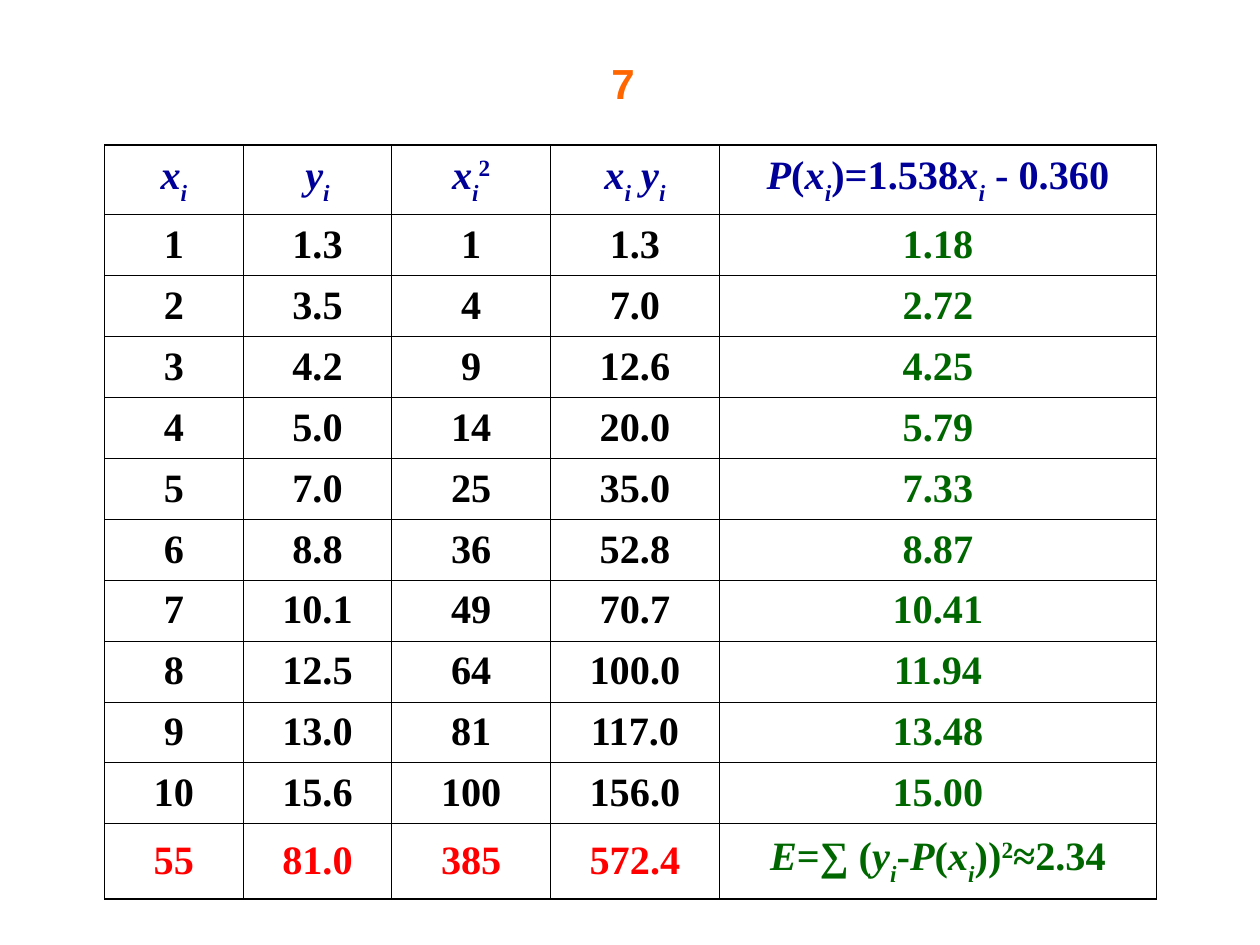
"""Build the least-squares table slide for ten data points."""
from lxml import etree
from pptx import Presentation
from pptx.dml.color import RGBColor
from pptx.enum.text import MSO_ANCHOR, PP_ALIGN
from pptx.oxml.ns import qn
from pptx.util import Inches, Pt

CENTER = PP_ALIGN.CENTER
MIDDLE = MSO_ANCHOR.MIDDLE
ORANGE, NAVY, BLACK, GREEN, RED = "FF6600", "000099", "000000", "006600", "FF0000"
UPRIGHT, ITALIC, SUB, SUPER = (False, 0), (True, 0), (True, -30), (False, 30)


def write(paragraph, pieces, size, face, color):
    paragraph.alignment = CENTER
    for text, (italic, baseline) in pieces:
        run = paragraph.add_run()
        run.text = text
        run.font.size = Pt(size)
        run.font.name = face
        run.font.bold = True
        run.font.italic = italic
        run.font.color.rgb = RGBColor.from_string(color)
        if baseline:
            run.font._element.set("baseline", str(baseline * 1000))


def rule(cell, side, width):
    line = etree.SubElement(cell._tc.get_or_add_tcPr(), qn(f"a:ln{side}"), w=str(Pt(width)))
    fill = etree.SubElement(line, qn("a:solidFill"))
    etree.SubElement(fill, qn("a:srgbClr"), val=BLACK)


x_i = [("x", ITALIC), ("i", SUB)]
y_i = [("y", ITALIC), ("i", SUB)]
headings = [
    x_i,
    y_i,
    x_i + [("2", SUPER)],
    x_i + [(" y", ITALIC), ("i", SUB)],
    [("P", ITALIC), ("(", UPRIGHT)] + x_i + [(")=1.538", UPRIGHT)] + x_i + [(" - 0.360", UPRIGHT)],
]
points = [
    ("1", "1.3", "1", "1.3", "1.18"),
    ("2", "3.5", "4", "7.0", "2.72"),
    ("3", "4.2", "9", "12.6", "4.25"),
    ("4", "5.0", "14", "20.0", "5.79"),
    ("5", "7.0", "25", "35.0", "7.33"),
    ("6", "8.8", "36", "52.8", "8.87"),
    ("7", "10.1", "49", "70.7", "10.41"),
    ("8", "12.5", "64", "100.0", "11.94"),
    ("9", "13.0", "81", "117.0", "13.48"),
    ("10", "15.6", "100", "156.0", "15.00"),
]
error = (
    [("E", ITALIC), ("=∑ (", UPRIGHT)] + y_i + [("-", UPRIGHT), ("P", ITALIC), ("(", UPRIGHT)]
    + x_i + [("))", UPRIGHT), ("2", SUPER), ("≈2.34", UPRIGHT)]
)
totals = [[(total, UPRIGHT)] for total in ("55", "81.0", "385", "572.4")] + [error]
rows = [headings] + [[[(value, UPRIGHT)] for value in point] for point in points] + [totals]
row_colors = (
    [[NAVY] * 5] + [[BLACK] * 4 + [GREEN]] * len(points) + [[RED] * 4 + [GREEN]]
)

column_widths = [1.1, 1.18, 1.26, 1.34, 3.47]
row_heights = [0.52] + [0.48] * len(points) + [0.6]
across_rules = [0.96, 0.45] + [0.34] * (len(points) - 1) + [0.45, 0.96]
down_rules = [0.34] + [0.45] * (len(column_widths) - 1) + [0.34]

deck = Presentation()
deck.slide_width, deck.slide_height = Inches(10), Inches(7.5)
slide = deck.slides.add_slide(deck.slide_layouts[6])

heading = slide.shapes.add_textbox(Inches(4.59), Inches(0.41), Inches(0.71), Inches(0.52)).text_frame
heading.word_wrap = True
write(heading.paragraphs[0], [("7", UPRIGHT)], 24, "Arial", ORANGE)

fit = slide.shapes.add_table(
    len(rows), len(column_widths), Inches(0.83), Inches(1.15),
    Inches(sum(column_widths)), Inches(sum(row_heights)),
).table
fit.first_row = fit.horz_banding = False
for column, width in zip(fit.columns, column_widths):
    column.width = Inches(width)
for r, (row, colors) in enumerate(zip(rows, row_colors)):
    fit.rows[r].height = Inches(row_heights[r])
    for c, (pieces, color) in enumerate(zip(row, colors)):
        cell = fit.cell(r, c)
        cell.vertical_anchor = MIDDLE
        write(cell.text_frame.paragraphs[0], pieces, 23, "Times New Roman", color)
        rule(cell, "L", down_rules[c])
        rule(cell, "R", down_rules[c + 1])
        rule(cell, "T", across_rules[r])
        rule(cell, "B", across_rules[r + 1])
        cell.fill.background()

deck.save("out.pptx")
